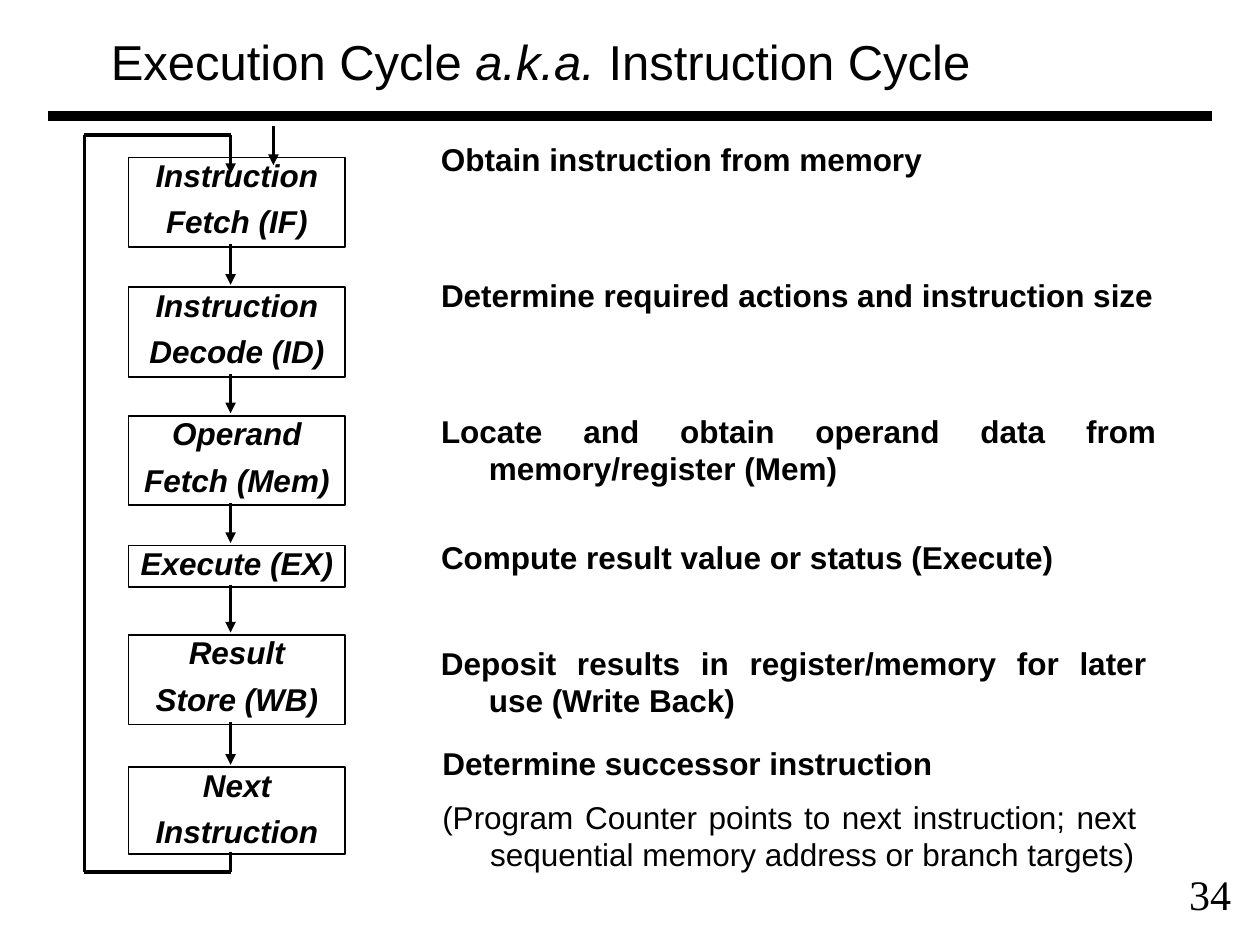
from dataclasses import dataclass
from itertools import pairwise
from lxml import etree
from pptx import Presentation
from pptx.dml.color import RGBColor
from pptx.enum.shapes import MSO_CONNECTOR, MSO_SHAPE
from pptx.enum.text import MSO_ANCHOR, MSO_AUTO_SIZE, PP_ALIGN
from pptx.oxml.ns import qn
from pptx.util import Inches, Pt

LINE = MSO_CONNECTOR.STRAIGHT
RECT = MSO_SHAPE.RECTANGLE
TOP, MIDDLE = MSO_ANCHOR.TOP, MSO_ANCHOR.MIDDLE
FIXED = MSO_AUTO_SIZE.NONE
LEFT, CENTER, FULL = PP_ALIGN.LEFT, PP_ALIGN.CENTER, PP_ALIGN.JUSTIFY


@dataclass(frozen=True)
class Theme:
    ink: RGBColor = RGBColor(0, 0, 0)
    font: str = "Arial"
    serif: str = "Times New Roman"
    title: int = 28
    body: int = 18
    page: int = 24
    rule: int = 6
    flow: int = 2
    edge: int = 1


@dataclass(frozen=True)
class Run:
    text: str
    bold: bool = False
    slant: bool = False


@dataclass(frozen=True)
class Stage:
    top: float
    height: float
    label: tuple[str, ...]
    notes: tuple[Run, ...]
    note_top: float
    note_width: float
    note_height: float
    note_left: float = 3.43


THEME = Theme()
BOX_LEFT, BOX_WIDTH = 1.02, 1.72
FLOW_X, LOOP_X, ENTRY_X = 1.83, 0.67, 2.17
LOOP_TOP, LOOP_END = 1.07, 6.92
HANG = 0.38
LAP = 0.02

STAGES = (
    Stage(1.25, 0.71, ("Instruction", "Fetch (IF)"),
          (Run("Obtain instruction from memory", bold=True),), 1.1, 6.07, 0.35),
    Stage(2.28, 0.71, ("Instruction", "Decode (ID)"),
          (Run("Determine required actions and instruction size", bold=True),),
          2.18, 5.99, 0.35),
    Stage(3.3, 0.71, ("Operand", "Fetch (Mem)"),
          (Run("Locate and obtain operand data from memory/register (Mem)", bold=True),),
          3.26, 5.82, 0.64),
    Stage(4.33, 0.33, ("Execute (EX)",),
          (Run("Compute result value or status (Execute)", bold=True),),
          4.26, 5.82, 0.35),
    Stage(5.04, 0.71, ("Result", "Store (WB)"),
          (Run("Deposit results in register/memory for later use (Write Back)", bold=True),),
          5.1, 5.74, 0.64),
    Stage(6.09, 0.69, ("Next", "Instruction"),
          (Run("Determine successor instruction", bold=True),
           Run("(Program Counter points to next instruction; next sequential "
               "memory address or branch targets)")),
          5.89, 5.65, 1.09, 3.44),
)


def write(shape, *paras: tuple[Run, ...], size: int = THEME.body,
          font: str = THEME.font, align=LEFT, anchor=TOP, hang: float = 0,
          space: float = 1.0, gap: float = 0, pad: tuple[float, float] = (0.07, 0.03),
          wrap: bool = True) -> None:
    frame = shape.text_frame
    frame.auto_size = FIXED
    frame.word_wrap = wrap
    frame.vertical_anchor = anchor
    frame.margin_left = frame.margin_right = Inches(pad[0])
    frame.margin_top = frame.margin_bottom = Inches(pad[1])
    for place, runs in enumerate(paras):
        para = frame.add_paragraph() if place else frame.paragraphs[0]
        para.alignment = align
        para.line_spacing = space
        para.space_before = Pt(gap if place else 0)
        if hang:
            props = para._p.get_or_add_pPr()
            props.set("marL", str(Inches(hang)))
            props.set("indent", str(-Inches(hang)))
        for item in runs:
            run = para.add_run()
            run.text = item.text
            run.font.name = font
            run.font.size = Pt(size)
            run.font.bold = item.bold
            run.font.italic = item.slant
            run.font.color.rgb = THEME.ink


def frame_at(left: float, top: float, width: float, height: float) -> tuple:
    return Inches(left), Inches(top), Inches(width), Inches(height)


def draw_line(slide, start: tuple[float, float], end: tuple[float, float],
              weight: int = THEME.flow, head: bool = False) -> None:
    line = slide.shapes.add_connector(LINE, *map(Inches, start + end))
    line.line.color.rgb = THEME.ink
    line.line.width = Pt(weight)
    if head:
        etree.SubElement(line.line._get_or_add_ln(), qn("a:tailEnd"), type="triangle")
    etree.SubElement(line._element.spPr, qn("a:effectLst"))


def draw_stage(slide, stage: Stage) -> None:
    box = slide.shapes.add_shape(
        RECT, *frame_at(BOX_LEFT, stage.top, BOX_WIDTH, stage.height))
    box.shadow.inherit = False
    box.fill.background()
    box.line.color.rgb = THEME.ink
    box.line.width = Pt(THEME.edge)
    write(box, *((Run(text, bold=True, slant=True),) for text in stage.label),
          align=CENTER, hang=HANG, space=0.86, gap=8)
    note = slide.shapes.add_textbox(*frame_at(
        stage.note_left, stage.note_top, stage.note_width, stage.note_height))
    write(note, *((run,) for run in stage.notes),
          align=FULL, hang=HANG, space=0.97, gap=10)


def main() -> None:
    deck = Presentation()
    deck.slide_width, deck.slide_height = Inches(10), Inches(7.5)
    slide = deck.slides.add_slide(deck.slide_layouts[5])

    title = slide.shapes.title
    title.left, title.top, title.width, title.height = frame_at(0.78, 0.29, 8.32, 0.39)
    write(title, (Run("Execution Cycle "), Run("a.k.a. ", slant=True),
                  Run("Instruction Cycle")),
          size=THEME.title, anchor=MIDDLE, pad=(0.1, 0.05))
    draw_line(slide, (0.38, 0.92), (9.62, 0.92), weight=THEME.rule)
    page = slide.shapes.add_textbox(*frame_at(9.34, 6.84, 0.66, 0.5))
    write(page, (Run("34"),), size=THEME.page, font=THEME.serif,
          pad=(0.1, 0.05), wrap=False)

    for stage in STAGES:
        draw_stage(slide, stage)
    for stage, after in pairwise(STAGES):
        draw_line(slide, (FLOW_X, stage.top + stage.height - LAP),
                  (FLOW_X, after.top - LAP), head=True)

    last = STAGES[-1]
    loop = ((FLOW_X, last.top + last.height - LAP), (FLOW_X, LOOP_END),
            (LOOP_X, LOOP_END), (LOOP_X, LOOP_TOP), (FLOW_X, LOOP_TOP), (FLOW_X, 1.38))
    for start, end in pairwise(loop):
        draw_line(slide, start, end, head=end == loop[-1])
    draw_line(slide, (ENTRY_X, 1), (ENTRY_X, 1.31), head=True)

    deck.save("out.pptx")


if __name__ == "__main__":
    main()
